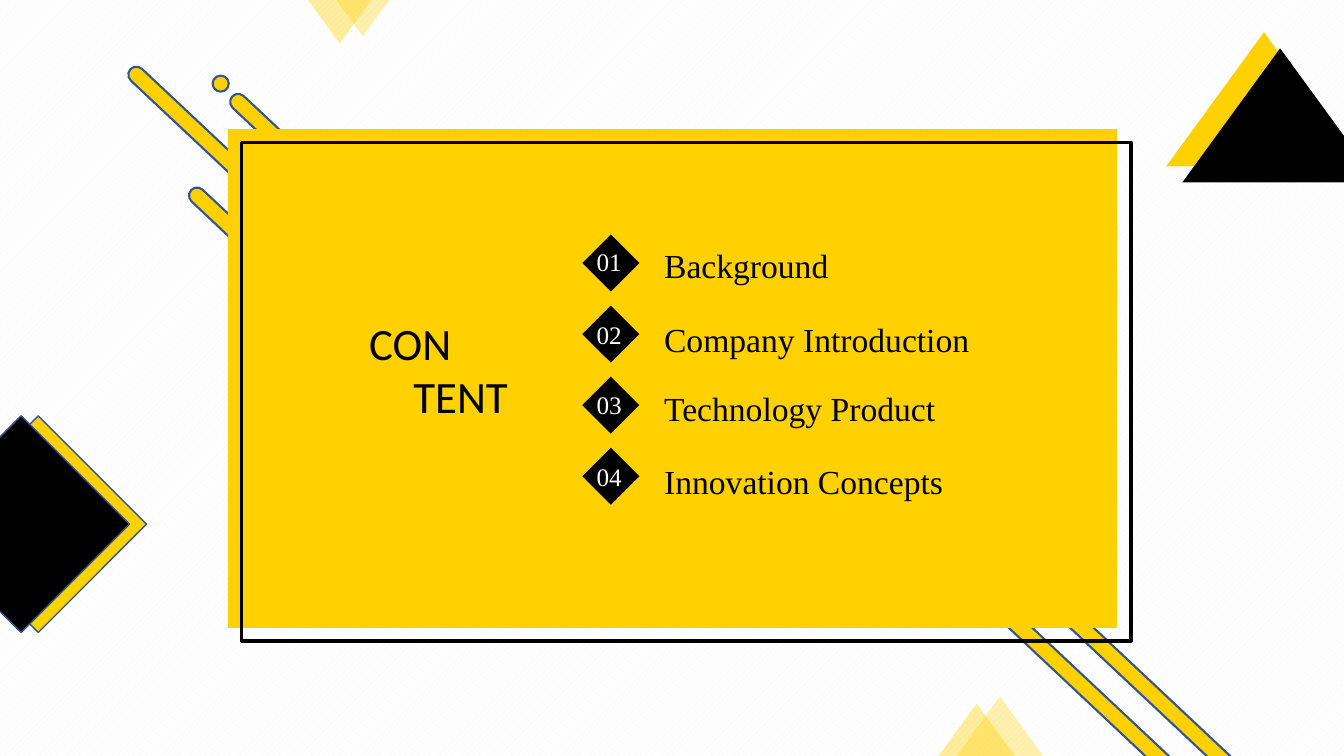
from dataclasses import dataclass
from typing import Optional

from lxml.etree import SubElement
from pptx import Presentation
from pptx.dml.color import RGBColor
from pptx.enum.dml import MSO_PATTERN
from pptx.enum.shapes import MSO_SHAPE as Shape
from pptx.enum.text import MSO_AUTO_SIZE as AutoSize, PP_ALIGN as Align
from pptx.oxml.ns import qn
from pptx.util import Inches, Pt

CELL = Inches(0.1)
COLUMNS, ROWS = 400 / 3, 75
YELLOW, BLACK, WHITE, BLUE = "FFD100", "000000", "FFFFFF", "325491"
SERIF, SANS = "Times New Roman", "Calibri"
FIRST_ENTRY_ROW, ENTRY_STEP = 24.1, 7.05


@dataclass
class Box:
    column: float
    row: float
    width: float
    height: float


@dataclass
class Figure:
    kind: Shape
    box: Box
    fill: Optional[str] = YELLOW
    line: Optional[str] = None
    weight: float = 1.5
    rotation: float = 0
    opacity: int = 100


@dataclass
class Entry:
    number: str
    title: str
    text_row: float
    title_width: float


def cells(count: float) -> int:
    return round(count * CELL)


def place(box: Box) -> tuple[int, int, int, int]:
    return cells(box.column), cells(box.row), cells(box.width), cells(box.height)


def colour(target, value: str) -> None:
    target.rgb = RGBColor.from_string(value)


def draw_figure(shapes, figure: Figure) -> None:
    drawn = shapes.add_shape(figure.kind, *place(figure.box))
    drawn.shadow.inherit = False
    drawn.rotation = figure.rotation
    if figure.kind == Shape.ROUNDED_RECTANGLE:
        drawn.adjustments[0] = 0.5
    if figure.fill:
        drawn.fill.solid()
        colour(drawn.fill.fore_color, figure.fill)
    else:
        drawn.fill.background()
    if figure.opacity < 100:
        tint = next(drawn.fill._xPr.iter(qn("a:srgbClr")))
        SubElement(tint, qn("a:alpha")).set("val", str(figure.opacity * 1000))
    if figure.line:
        colour(drawn.line.color, figure.line)
        drawn.line.width = Pt(figure.weight)
    else:
        drawn.line.fill.background()


def add_words(paragraph, words: str, font: str, size: int, ink: str) -> None:
    run = paragraph.add_run()
    run.text = words
    run.font.name, run.font.size = font, Pt(size)
    colour(run.font.color, ink)


def add_frame(shapes, box: Box, wrap: bool):
    frame = shapes.add_textbox(*place(box)).text_frame
    frame.word_wrap = wrap
    frame.auto_size = AutoSize.SHAPE_TO_FIT_TEXT
    return frame


def stripe(column: float, row: float, length: float) -> Figure:
    return Figure(Shape.ROUNDED_RECTANGLE, Box(column, row, length, 1.6), line=BLUE, rotation=43.2)


def triangle(column: float, row: float, fill: str = YELLOW, rotation: float = 0, opacity: int = 100) -> Figure:
    return Figure(Shape.ISOSCELES_TRIANGLE, Box(column, row, 19.4, 13.3), fill, rotation=rotation, opacity=opacity)


def side_square(column: float, fill: str) -> Figure:
    return Figure(Shape.RECTANGLE, Box(column, 44.4, 15.2, 15.2), fill, BLUE, 1, 45)


STRIPES = [
    stripe(17.8, 21, 8.6),
    stripe(4.3, 27.9, 63.8),
    stripe(14.4, 30.6, 63.8),
    Figure(Shape.OVAL, Box(21.1, 7.5, 1.6, 1.6), line=BLUE),
    stripe(71.3, 57.6, 63.8),
    stripe(68.3, 60.5, 63.8),
]
PANEL = [
    Figure(Shape.RECTANGLE, Box(22.6, 12.8, 88.2, 49.5)),
    Figure(Shape.RECTANGLE, Box(24, 14.1, 88.2, 49.5), None, BLACK, 2.25),
]
CORNERS = [
    side_square(-3.8, YELLOW),
    side_square(-5.5, BLACK),
    triangle(115.7, 3.2),
    triangle(117.3, 4.8, BLACK),
    triangle(24, -9, rotation=180, opacity=38),
    triangle(26.3, -9.7, rotation=180, opacity=32),
    triangle(87.2, 69.8, opacity=38),
    triangle(89.5, 69.1, opacity=32),
]
ENTRIES = [
    Entry("01", "Background", 23.9, 18.5),
    Entry("02", "Company Introduction", 31.2, 32.6),
    Entry("03", "Technology Product", 38.1, 29.1),
    Entry("04", "Innovation Concepts", 45.3, 29.9),
]


def draw_heading(shapes) -> None:
    frame = add_frame(shapes, Box(25.1, 30.8, 31.2, 11.8), True)
    upper, lower = frame.paragraphs[0], frame.add_paragraph()
    for paragraph, words in ((upper, "CON"), (lower, "TENT")):
        paragraph.alignment = Align.CENTER
        add_words(paragraph, words, SANS, 32, BLACK)
    lower._p.get_or_add_pPr().set("marL", str(cells(10)))


def draw_entry(shapes, index: int, entry: Entry) -> None:
    members = shapes.add_group_shape().shapes
    diamond = Box(58.6, FIRST_ENTRY_ROW + index * ENTRY_STEP, 4, 4)
    draw_figure(members, Figure(Shape.RECTANGLE, diamond, BLACK, rotation=45))
    number = add_frame(members, Box(58.2, entry.text_row, 4.5, 4), False).paragraphs[0]
    add_words(number, entry.number, SERIF, 18, WHITE)
    title_box = Box(64.9, entry.text_row - 1.3, entry.title_width, 5.7)
    title = add_frame(members, title_box, False).paragraphs[0]
    title.line_spacing = 1.3
    add_words(title, entry.title, SERIF, 24, BLACK)


def main() -> None:
    deck = Presentation()
    deck.slide_width, deck.slide_height = cells(COLUMNS), cells(ROWS)
    slide = deck.slides.add_slide(deck.slide_layouts[6])
    backdrop = slide.background.fill
    backdrop.patterned()
    backdrop.pattern = MSO_PATTERN.WIDE_UPWARD_DIAGONAL
    colour(backdrop.fore_color, "F2F2F2")
    colour(backdrop.back_color, WHITE)

    for figure in STRIPES:
        draw_figure(slide.shapes, figure)
    panel = slide.shapes.add_group_shape().shapes
    for figure in PANEL:
        draw_figure(panel, figure)
    for figure in CORNERS:
        draw_figure(slide.shapes, figure)
    draw_heading(slide.shapes)
    for index, entry in enumerate(ENTRIES):
        draw_entry(slide.shapes, index, entry)
    deck.save("out.pptx")


if __name__ == "__main__":
    main()
